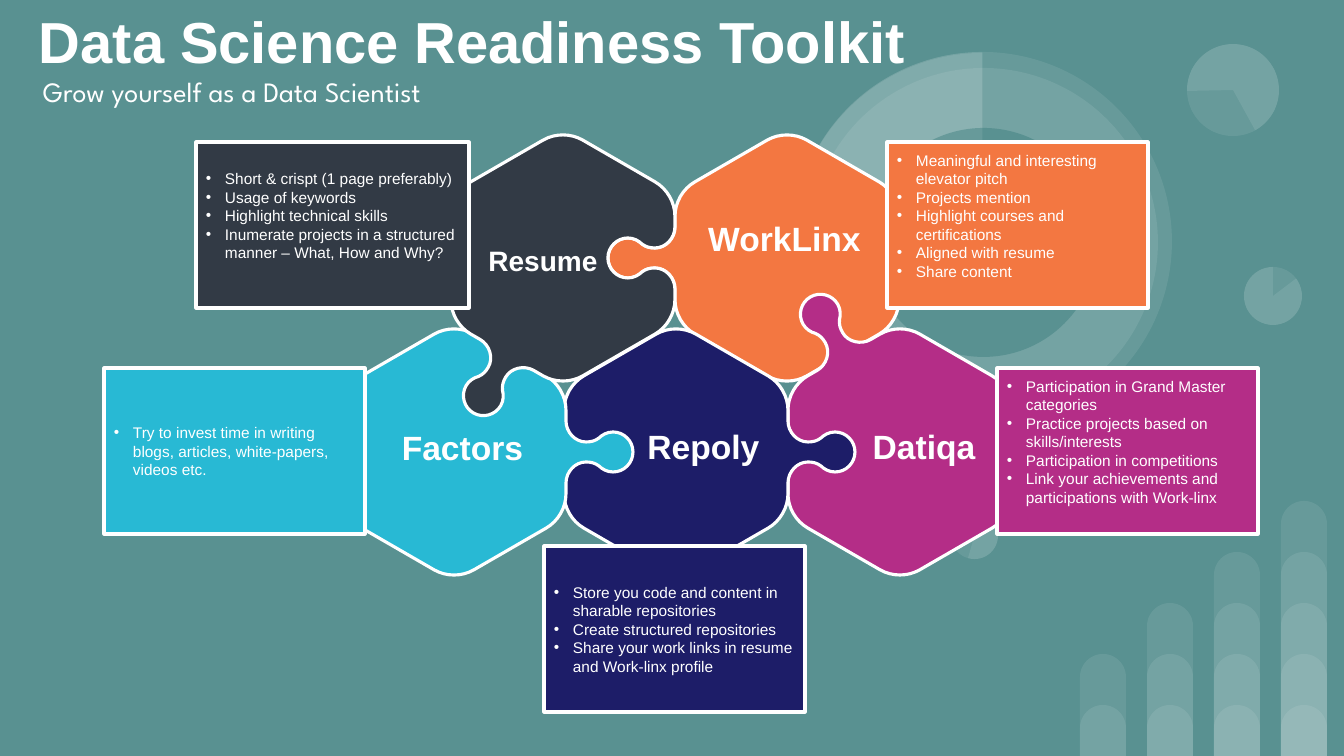
import math

import lxml.etree
import pptx
import pptx.dml.color
import pptx.enum.shapes
import pptx.enum.text
import pptx.oxml.ns
import pptx.util

SHAPE = pptx.enum.shapes.MSO_SHAPE
ALIGN = pptx.enum.text.PP_ALIGN
ANCHOR = pptx.enum.text.MSO_ANCHOR
qn = pptx.oxml.ns.qn

WIDTH, HEIGHT = 1344, 756
EMU_PER_PX = 12192000 / WIDTH
COLORS = {
    "back": "599191", "white": "FFFFFF", "slate": "323A45", "orange": "F37741",
    "magenta": "B42D87", "navy": "1D1D68", "cyan": "28B9D4",
}

# Puzzle piece: distance from centre to side, corner cut and its control point
APOTHEM, CUT, PULL = 112, 23, 9
HALF_SIDE = APOTHEM * math.tan(math.pi / 6)
# First half of a tab as (outward, along) points; the second half mirrors it
HALF_TAB = [(0, -31), (0, -20), (9, -10), (20, -10), (25, -10), (29, -11), (33, -14),
            (36, -17), (41, -20), (47, -20), (58, -20), (67, -11), (67, 0)]
TAB = HALF_TAB + [(u, -v) for u, v in HALF_TAB[-2::-1]]


def emu(px):
    return round(px * EMU_PER_PX)


def middle(a, b):
    return (a[0] + b[0]) / 2, (a[1] + b[1]) / 2


def halves(a, b, c, d):
    """Split a cubic curve in two, so that its apex becomes a point."""
    ab, bc, cd = middle(a, b), middle(b, c), middle(c, d)
    left, right = middle(ab, bc), middle(bc, cd)
    return [[ab, left, middle(left, right)], [right, cd, d]]


def piece_segments(cx, cy, tabs):
    """Rounded hexagon as lines (1 point) and curves (3 points).

    tabs maps a side's angle to 1 (tab) or -1 (socket).
    """
    def place(angle, u, v):
        a = math.radians(angle)
        u += APOTHEM
        return cx + u * math.cos(a) - v * math.sin(a), cy + u * math.sin(a) + v * math.cos(a)

    end, control = HALF_SIDE - CUT, HALF_SIDE - PULL
    segments = [[place(0, 0, -end)]]
    for angle in range(0, 360, 60):
        if angle in tabs:
            tab = [place(angle, tabs[angle] * u, v) for u, v in TAB]
            segments.append(tab[:1])
            segments += [tab[i:i + 3] for i in range(1, len(tab), 3)]
        segments.append([place(angle, 0, end)])
        segments += halves(place(angle, 0, end), place(angle, 0, control),
                           place(angle + 60, 0, -control), place(angle + 60, 0, -end))
    return segments


class Deck:
    def __init__(self):
        self.prs = pptx.Presentation()
        self.prs.slide_width, self.prs.slide_height = emu(WIDTH), emu(HEIGHT)
        self.s = self.prs.slides.add_slide(self.prs.slide_layouts[6])
        fill = self.s.background.fill
        fill.solid()
        fill.fore_color.rgb = self.rgb("back")

    def rgb(self, name):
        return pptx.dml.color.RGBColor.from_string(COLORS[name])

    def paint(self, sp, color, outlined=False, opacity=None):
        sp.shadow.inherit = False
        sp.fill.solid()
        sp.fill.fore_color.rgb = self.rgb(color)
        if opacity:
            node = sp.fill._xPr.find(qn("a:solidFill"))[0]
            lxml.etree.SubElement(node, qn("a:alpha")).set("val", str(opacity * 1000))
        if outlined:
            sp.line.color.rgb = self.rgb("white")
            sp.line.width = pptx.util.Pt(2.25)
        else:
            sp.line.fill.background()

    def run(self, p, text, size, bold=False, font="Arial"):
        r = p.add_run()
        r.text = text
        r.font.size, r.font.bold, r.font.name = pptx.util.Pt(size), bold, font
        r.font.color.rgb = self.rgb("white")

    def decor(self, kind, x, y, w, h, adj=(), rot=0, color="white", opacity=9):
        sp = self.s.shapes.add_shape(kind, emu(x), emu(y), emu(w), emu(h))
        for i, value in enumerate(adj):
            sp.adjustments[i] = value
        sp.rotation = rot
        self.paint(sp, color, opacity=opacity)

    def text(self, x, y, w, h, text, size, bold=True, font="Arial",
             align=ALIGN.CENTER, anchor=ANCHOR.MIDDLE, inset=5):
        tf = self.s.shapes.add_textbox(emu(x), emu(y), emu(w), emu(h)).text_frame
        tf.word_wrap = True
        tf.vertical_anchor = anchor
        tf.margin_left = tf.margin_right = tf.margin_top = tf.margin_bottom = emu(inset)
        p = tf.paragraphs[0]
        p.alignment = align
        self.run(p, text, size, bold, font)

    def piece(self, cx, cy, color, tabs):
        segments = piece_segments(cx, cy, tabs)
        points = [(emu(x), emu(y)) for segment in segments for x, y in segment]
        fb = self.s.shapes.build_freeform(*points[0], scale=1.0)
        fb.add_line_segments(points[1:], close=True)
        sp = fb.convert_to_shape()
        # Join each three control points into one curve
        steps = iter(list(sp._element.iter(qn("a:lnTo"))))
        for segment in segments[1:]:
            first = next(steps)
            if len(segment) == 3:
                curve = lxml.etree.Element(qn("a:cubicBezTo"))
                first.addprevious(curve)
                for step in (first, next(steps), next(steps)):
                    curve.append(step[0])
                    step.getparent().remove(step)
        self.paint(sp, color, outlined=True)

    def card(self, x, y, w, color, items, bottom):
        sp = self.s.shapes.add_shape(SHAPE.RECTANGLE, emu(x), emu(y), emu(w), emu(166))
        self.paint(sp, color, outlined=True)
        tf = sp.text_frame
        tf.word_wrap = True
        tf.vertical_anchor = ANCHOR.MIDDLE
        tf.margin_bottom = emu(bottom)
        for i, item in enumerate(items):
            p = tf.add_paragraph() if i else tf.paragraphs[0]
            p.alignment = ALIGN.LEFT
            pPr = p._p.get_or_add_pPr()
            pPr.set("marL", str(emu(19)))
            pPr.set("indent", str(-emu(19)))
            lxml.etree.SubElement(pPr, qn("a:buFont")).set("typeface", "Arial")
            lxml.etree.SubElement(pPr, qn("a:buChar")).set("char", "•")
            self.run(p, item, 11)


def main():
    deck = Deck()

    # Background bars: each column stacks one more level than the last
    for column in range(4):
        for level in range(1, column + 3):
            deck.decor(SHAPE.ROUND_2_SAME_RECTANGLE, 1080 + 67 * column,
                       HEIGHT - 51 * level, 46, 51 * level, adj=(0.5, 0))

    # Background pies: x, y, diameter, rotation, start and end angle
    for x, y, d, rot, *adj in [(1244, 267, 58, 0, 193.77, 162),
                               (951, 512, 47, 196.2, 193.77, 162),
                               (1187, 44, 92, 215.9, 193.77, 123.14)]:
        deck.decor(SHAPE.OVAL, x, y, d, d, rot=rot)
        deck.decor(SHAPE.PIE, x, y, d, d, adj=adj, rot=rot)

    # Background ring
    deck.decor(SHAPE.OVAL, 793, 52, 379, 379)
    deck.decor(SHAPE.OVAL, 809, 68, 349, 349)
    deck.decor(SHAPE.PIE, 793, 53, 379, 379, adj=(88.01, 162))
    deck.decor(SHAPE.OVAL, 869, 128, 229, 229, color="back", opacity=None)
    deck.decor(SHAPE.PIE, 793, 52, 379, 379, adj=(125.54, 162))

    # Headings
    deck.text(26, -11, 1300, 102, "Data Science Readiness Toolkit", 41.3,
              align=ALIGN.LEFT, inset=13)
    deck.text(30, 61, 1285, 64, "Grow yourself as a Data Scientist", 20, bold=False,
              font="League Spartan", align=ALIGN.LEFT, anchor=ANCHOR.TOP, inset=13)

    # Puzzle pieces
    top, low = 258, 452
    deck.piece(787, top, "orange", {180: 1})
    deck.piece(900, low, "magenta", {240: 1})
    deck.piece(676, low, "navy", {0: 1})
    deck.piece(454, low, "cyan", {0: 1})
    deck.piece(563, top, "slate", {0: -1, 120: 1})

    # Piece labels
    for x, y, w, size, label in [(682, 213, 205, 24, "WorkLinx"), (635, 421, 137, 24, "Repoly"),
                                 (360, 422, 205, 24, "Factors"), (851, 421, 146, 24, "Datiqa"),
                                 (470, 238, 146, 20, "Resume")]:
        deck.text(x, y, w, 50 if size == 24 else 44, label, size)

    # Advice cards; the last value is the bottom inset
    deck.card(196, 142, 273, "slate", [
        "Short & crispt (1 page preferably)", "Usage of keywords", "Highlight technical skills",
        "Inumerate projects in a structured manner – What, How and Why?"], 24)
    deck.card(887, 142, 261, "orange", [
        "Meaningful and interesting elevator pitch", "Projects mention",
        "Highlight courses and certifications", "Aligned with resume", "Share content"], 24)
    deck.card(997, 368, 261, "magenta", [
        "Participation in Grand Master categories", "Practice projects based on skills/interests",
        "Participation in competitions",
        "Link your achievements and participations with Work-linx"], 24)
    deck.card(544, 546, 261, "navy", [
        "Store you code and content in sharable repositories", "Create structured repositories",
        "Share your work links in resume and Work-linx profile"], 5)
    deck.card(104, 368, 261, "cyan", [
        "Try to invest time in writing blogs, articles, white-papers, videos etc."], 5)

    deck.prs.save("out.pptx")


if __name__ == "__main__":
    main()
